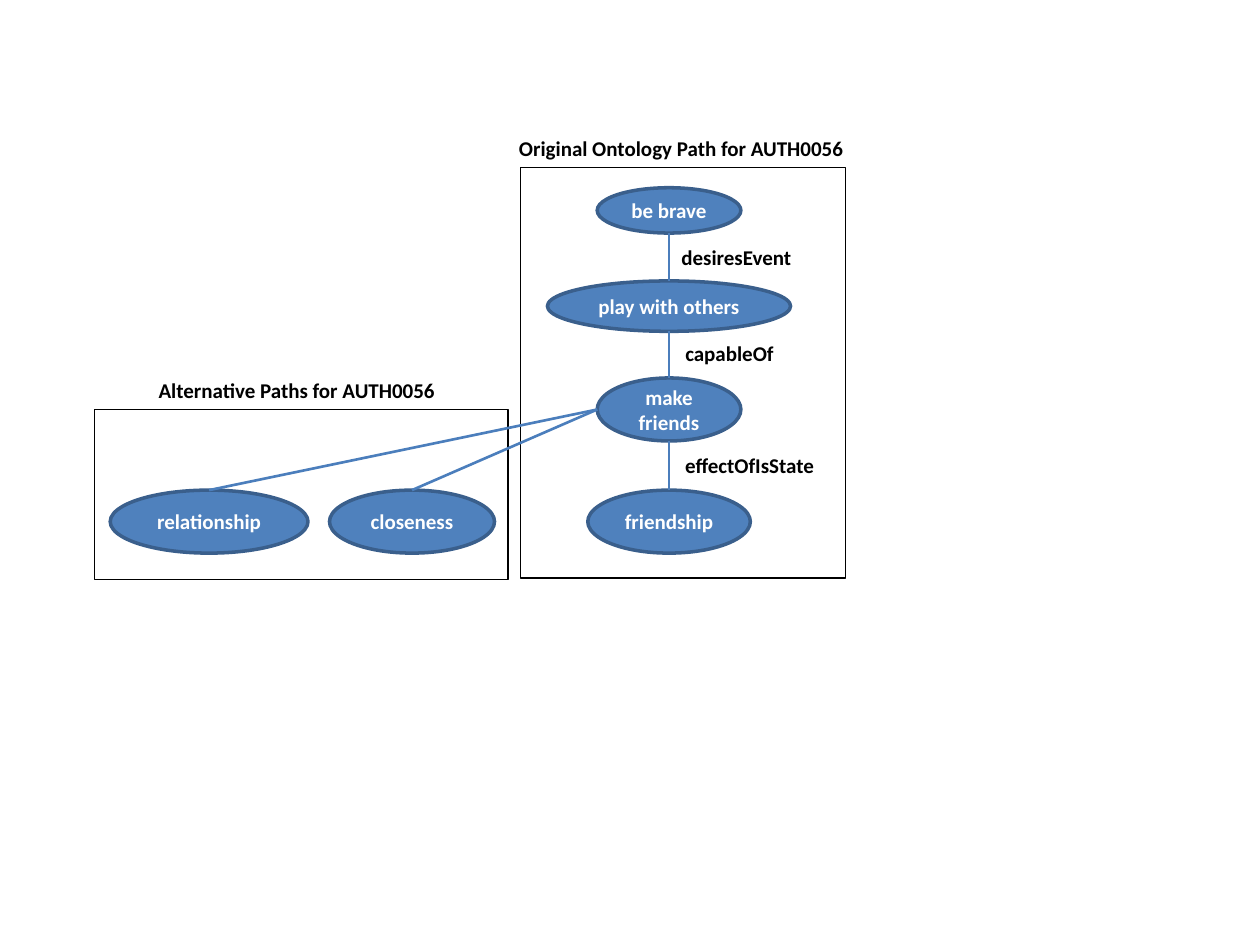
from lxml import etree
from pptx import Presentation
from pptx.dml.color import RGBColor
from pptx.enum import shapes, text
from pptx.oxml.ns import qn
from pptx.util import Inches, Pt

BLACK = RGBColor(0x00, 0x00, 0x00)
WHITE = RGBColor(0xFF, 0xFF, 0xFF)
BLUE = RGBColor(0x4F, 0x81, 0xBD)
EDGE = RGBColor(0x3A, 0x5F, 0x8C)
LINK = RGBColor(0x4B, 0x7E, 0xBC)
FONT = {"name": "Calibri", "size": Pt(12), "bold": True}

deck = Presentation()
deck.slide_width, deck.slide_height = Inches(10), Inches(7.5)
slide = deck.slides.add_slide(deck.slide_layouts[6])


def add_block(kind, box, fill, edge, width):
    block = slide.shapes.add_shape(kind, *map(Inches, box))
    block.shadow.inherit = False
    block.fill.solid()
    block.fill.fore_color.rgb = fill
    block.line.color.rgb = edge
    block.line.width = Pt(width)
    return block


def put_text(frame, words, color):
    para = frame.paragraphs[0]
    run = para.add_run()
    run.text = words
    for key, value in FONT.items():
        setattr(run.font, key, value)
    run.font.color.rgb = color
    return para


# Frames around the two groups of paths
for box in [(0.75, 3.25, 3.28, 1.35), (4.13, 1.33, 2.58, 3.26)]:
    add_block(shapes.MSO_SHAPE.RECTANGLE, box, WHITE, BLACK, 1)

# Concepts: words, middle x, top, width, height
MID = 5.31
concepts = [
    ("be brave", MID, 1.49, 1.14, 0.36),
    ("play with others", MID, 2.23, 1.93, 0.4),
    ("make friends", MID, 3, 1.14, 0.5),
    ("friendship", MID, 3.89, 1.29, 0.5),
    ("closeness", 3.27, 3.89, 1.31, 0.5),
    ("relationship", 1.66, 3.89, 1.57, 0.5),
]
for words, mid, top, width, height in concepts:
    box = (mid - width / 2, top, width, height)
    oval = add_block(shapes.MSO_SHAPE.OVAL, box, BLUE, EDGE, 2)
    oval.text_frame.vertical_anchor = text.MSO_ANCHOR.MIDDLE
    para = put_text(oval.text_frame, words, WHITE)
    para.alignment = text.PP_ALIGN.CENTER

# Links run down the main path, then from each alternative to "make friends"
chain, others = concepts[:4], concepts[4:]
links = [
    (MID, high[2] + high[4], MID, low[2])
    for high, low in zip(chain, chain[1:])
]
_, mid, top, width, height = chain[2]
for other in others:
    links.append((other[1], other[2], mid - width / 2, top + height / 2))
for ends in links:
    link = slide.shapes.add_connector(
        shapes.MSO_CONNECTOR.STRAIGHT, *map(Inches, ends)
    )
    link.line.color.rgb = LINK
    link.line.width = Pt(1.5)
    etree.SubElement(link._element.spPr, qn("a:effectLst"))

# Relation names and headings: words, left, top, width
labels = [
    ("desiresEvent", 5.31, 1.89, 1.08),
    ("capableOf", 5.34, 2.65, 0.91),
    ("effectOfIsState", 5.34, 3.54, 1.23),
    ("Original Ontology Path for AUTH0056", 4.02, 1.03, 2.81),
    ("Alternative Paths for AUTH0056", 1.16, 2.95, 2.42),
]
for words, left, top, width in labels:
    label = slide.shapes.add_textbox(*map(Inches, (left, top, width, 0.3)))
    label.text_frame.word_wrap = False
    label.text_frame.auto_size = text.MSO_AUTO_SIZE.SHAPE_TO_FIT_TEXT
    put_text(label.text_frame, words, BLACK)

deck.save("out.pptx")
